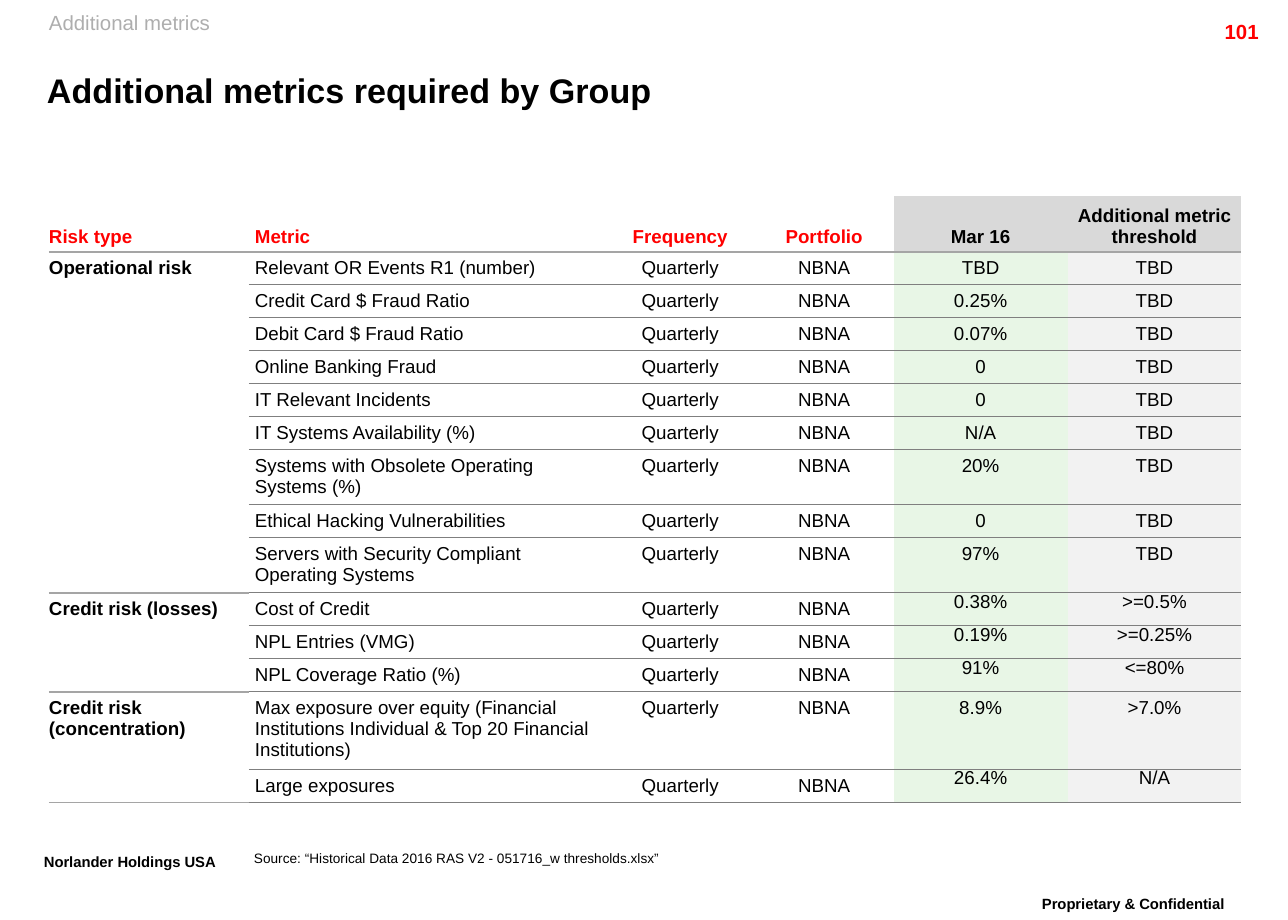
from lxml.etree import SubElement as Sub
from pptx import Presentation
from pptx.dml.color import RGBColor
from pptx.enum.text import MSO_ANCHOR as Anchor, MSO_AUTO_SIZE as Fit, PP_ALIGN as Align
from pptx.oxml.ns import qn
from pptx.util import Inches, Pt

BLACK = RGBColor(0, 0, 0)
RED = RGBColor(0xFF, 0, 0)
PALE = RGBColor(0xAE, 0xAE, 0xAE)
HEAD = RGBColor(0xD9, 0xD9, 0xD9)
GREEN = RGBColor(0xE8, 0xF6, 0xE6)
LIGHT = RGBColor(0xF2, 0xF2, 0xF2)
RULE = RGBColor(0x7F, 0x7F, 0x7F)
SOFT = RGBColor(0xA5, 0xA5, 0xA5)

TITLE = "Additional metrics required by Group"
HEADS = ["Risk type", "Metric", "Frequency", "Portfolio", "Mar 16",
         "Additional metric threshold"]
TERM, UNIT = "Quarterly", "NBNA"
GROUPS = [
    ("Operational risk", [
        ("Relevant OR Events R1 (number)", "TBD", "TBD", 1),
        ("Credit Card $ Fraud Ratio", "0.25%", "TBD", 1),
        ("Debit Card $ Fraud Ratio", "0.07%", "TBD", 1),
        ("Online Banking Fraud", "0", "TBD", 1),
        ("IT Relevant Incidents", "0", "TBD", 1),
        ("IT Systems Availability (%)", "N/A", "TBD", 1),
        ("Systems with Obsolete Operating Systems (%)", "20%", "TBD", 2),
        ("Ethical Hacking Vulnerabilities", "0", "TBD", 1),
        ("Servers with Security Compliant Operating Systems", "97%", "TBD", 2),
    ]),
    ("Credit risk (losses)", [
        ("Cost of Credit", "0.38%", ">=0.5%", 1),
        ("NPL Entries (VMG)", "0.19%", ">=0.25%", 1),
        ("NPL Coverage Ratio (%)", "91%", "<=80%", 1),
    ]),
    ("Credit risk (concentration)", [
        ("Max exposure over equity (Financial Institutions Individual "
         "& Top 20 Financial Institutions)", "8.9%", ">7.0%", 3),
        ("Large exposures", "26.4%", "N/A", 1),
    ]),
]
TIGHT = {"Cost of Credit", "NPL Entries (VMG)", "NPL Coverage Ratio (%)", "Large exposures"}
WIDTHS = [200, 357, 149, 139, 174, 174]
HIGH = {1: 33, 2: 54, 3: 75}
FILLS = {4: GREEN, 5: LIGHT}
PAD = (12, 6, 12, 6)


def px(n):
    return round(n * 914400 / 122.7)


def write(frame, text, size=11, color=BLACK, bold=False, align=Align.LEFT,
          space=None, base=None):
    para = frame.paragraphs[0]
    para.alignment = align
    if space:
        para.line_spacing = space
    run = para.add_run()
    run.text = text
    font = run.font
    font.name, font.size, font.bold = "Arial", Pt(size), bold
    font.color.rgb = color
    if base:
        run._r.get_or_add_rPr().set("baseline", str(base * 1000))


def inset(part, pad):
    (part.margin_left, part.margin_top,
     part.margin_right, part.margin_bottom) = map(px, pad)


def box(text, x, y, w, h, pad=PAD, anchor=Anchor.TOP, **form):
    frame = slide.shapes.add_textbox(*map(px, (x, y, w, h))).text_frame
    frame.word_wrap = True
    frame.vertical_anchor = anchor
    inset(frame, pad)
    write(frame, text, **form)


def border(cell, color, width):
    line = Sub(cell._tc.get_or_add_tcPr(), qn("a:lnB"), w=str(Pt(width)))
    Sub(Sub(line, qn("a:solidFill")), qn("a:srgbClr"), val=str(color))


def put(row, col, text, fill=None, pad=(6, 6, 6, 4), anchor=Anchor.TOP,
        line=(RULE, 0.75), **form):
    cell = grid.cell(row, col)
    border(cell, *line)
    if fill:
        cell.fill.solid()
        cell.fill.fore_color.rgb = fill
    else:
        cell.fill.background()
    inset(cell, pad)
    cell.vertical_anchor = anchor
    write(cell.text_frame, text, **form)


def side(col):
    return Align.LEFT if col < 2 else Align.CENTER


deck = Presentation()
deck.slide_width, deck.slide_height = Inches(10.5), Inches(7.5)
slide = deck.slides.add_slide(deck.slide_layouts[5])

title = slide.shapes.title
title.left, title.top, title.width, title.height = map(px, (47, 60, 1163, 59))
frame = title.text_frame
frame.auto_size = Fit.NONE
frame.vertical_anchor = Anchor.MIDDLE
inset(frame, (0, 0, 0, 0))
write(frame, TITLE, size=20, bold=True)

box("Proprietary & Confidential", 1000, 890, 267, 29, size=15, bold=True,
    align=Align.CENTER, space=0.86, base=30)
box("Norlander Holdings USA", 32, 848, 220, 43, size=15, bold=True,
    space=0.86, base=30)
box("101", 1148, 13, 123, 29, size=12, color=RED, bold=True, align=Align.RIGHT)
box("Additional metrics", 49, 10, 200, 25, pad=(0, 0, 0, 0), size=12, color=PALE)
box("Source: “Historical Data 2016 RAS V2 - 051716_w thresholds.xlsx”",
    254, 850, 914, 16, pad=(0, 0, 0, 0), anchor=Anchor.BOTTOM, size=8)

highs = [HIGH[2]] + [HIGH[item[-1]] for _, items in GROUPS for item in items]
grid = slide.shapes.add_table(len(highs), len(WIDTHS), px(49), px(196),
                              px(sum(WIDTHS)), px(sum(highs))).table
grid.first_row = grid.horz_banding = False
grid._tbl.tblPr[0].text = "{2D5ABB26-0587-4C30-8999-92F81FD0307C}"
for col, width in zip(grid.columns, WIDTHS):
    col.width = px(width)
for row, high in zip(grid.rows, highs):
    row.height = px(high)

for col, text in enumerate(HEADS):
    dark = col in FILLS
    put(0, col, text, fill=HEAD if dark else None, anchor=Anchor.BOTTOM,
        pad=(6 if col else 0, 6, 6, 5), line=(SOFT, 1), bold=True,
        color=BLACK if dark else RED, align=side(col))

row = 1
for risk, items in GROUPS:
    last = row + len(items) - 1
    grid.cell(row, 0).merge(grid.cell(last, 0))
    put(row, 0, risk, pad=(0, 6, 6, 4), line=(SOFT, 1), bold=True)
    border(grid.cell(last, 0), SOFT, 1)
    for row, (metric, value, limit, _) in enumerate(items, row):
        for col, text in enumerate((metric, TERM, UNIT, value, limit), 1):
            form = {}
            if metric in TIGHT and col in FILLS:
                form = dict(pad=(1, 1, 1, 0), space=0.86)
            put(row, col, text, fill=FILLS.get(col), align=side(col), **form)
    row += 1

deck.save("out.pptx")
